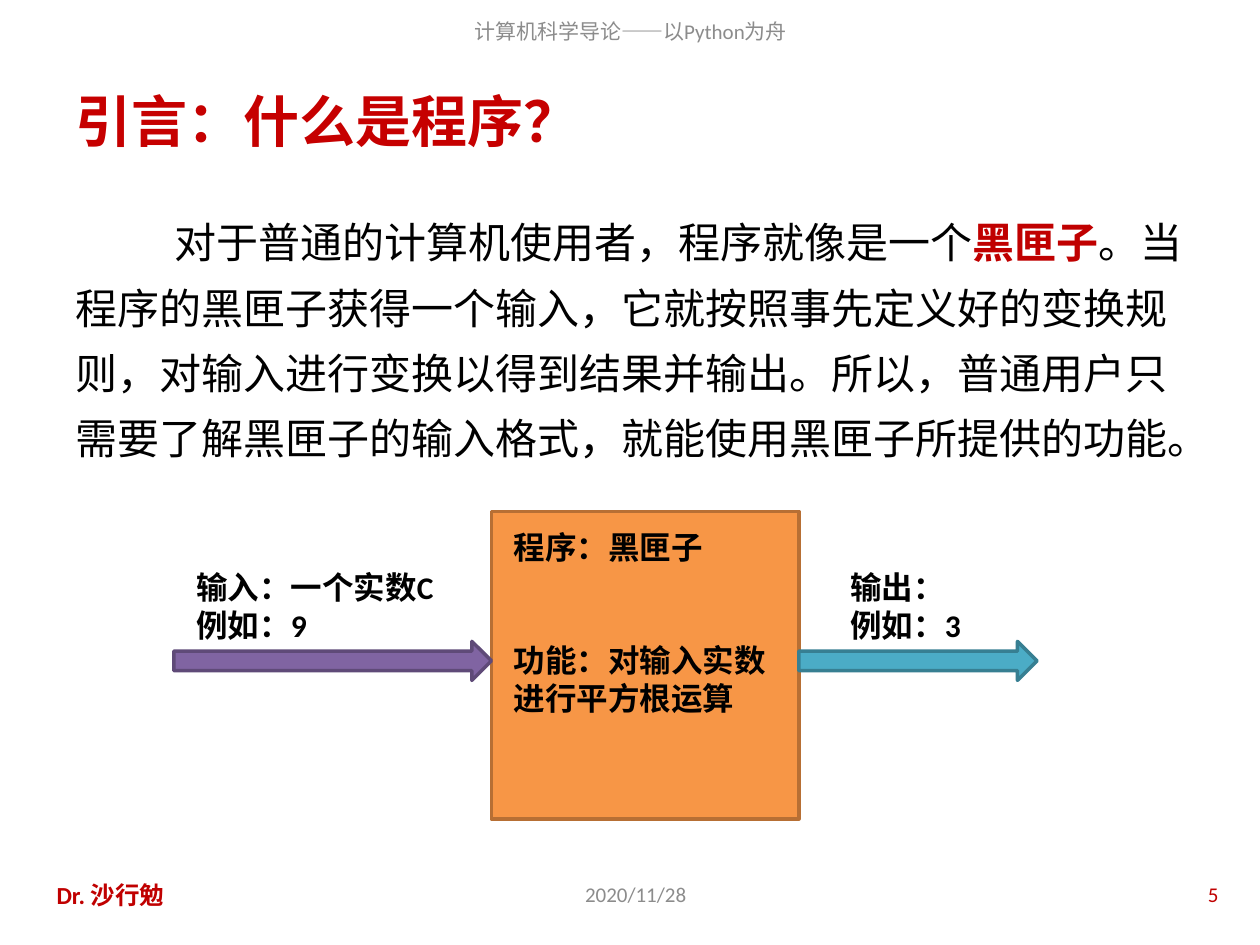
from dataclasses import dataclass

from pptx import Presentation
from pptx.dml.color import RGBColor
from pptx.enum.shapes import MSO_SHAPE
from pptx.enum.text import MSO_ANCHOR, PP_ALIGN
from pptx.util import Inches, Pt


@dataclass(frozen=True)
class Theme:
    """Colours, fonts and type sizes of the slide."""
    black: str = "000000"
    grey: str = "8C8C8C"
    red: str = "C00000"
    title_red: str = "C60000"
    orange: tuple = ("F79646", "B76F34")
    purple: tuple = ("8064A2", "5F4A78")
    teal: tuple = ("4BACC6", "377F92")
    sans: str = "Calibri"
    serif: str = "Times New Roman"
    small: int = 12
    author: int = 14
    label: int = 18
    body: int = 24
    title: int = 32


THEME = Theme()


def add_span(para, text, size, color=THEME.black, bold=False, name=THEME.sans):
    """Append a formatted run to a paragraph."""
    span = para.add_run()
    span.text = text
    formats = {"size": Pt(size), "bold": bold, "name": name}
    for key, value in formats.items():
        setattr(span.font, key, value)
    span.font.color.rgb = RGBColor.from_string(color)


def add_box(page, place, anchor=MSO_ANCHOR.TOP):
    """Add an empty wrapping text box and return its frame."""
    frame = page.shapes.add_textbox(*map(Inches, place)).text_frame
    for key, value in {"word_wrap": True, "vertical_anchor": anchor}.items():
        setattr(frame, key, value)
    return frame


def add_line(page, place, text, size, color, bold=False, align=PP_ALIGN.LEFT):
    """Add a single vertically centred line of text."""
    para = add_box(page, place, MSO_ANCHOR.MIDDLE).paragraphs[0]
    para.alignment = align
    add_span(para, text, size, color, bold)


def add_body(page, place, spans):
    """Add the main paragraph with an indented first line."""
    para = add_box(page, place).paragraphs[0]
    para.line_spacing = 1.3
    properties = para._p.get_or_add_pPr()
    for key, value in {"marL": 0, "indent": Inches(0.79)}.items():
        properties.set(key, str(value))
    for text, color, bold in spans:
        add_span(para, text, THEME.body, color, bold, THEME.serif)


def add_label(page, place, lines, gap=0):
    """Add a bold label, with a gap in points between its lines."""
    frame = add_box(page, place)
    for index, text in enumerate(lines):
        para = frame.add_paragraph() if index else frame.paragraphs[0]
        if index:
            para.space_before = Pt(gap)
        add_span(para, text, THEME.label, bold=True)


def add_block(page, kind, place, colors):
    """Add a filled and outlined preset shape."""
    block = page.shapes.add_shape(kind, *map(Inches, place))
    fill, line = map(RGBColor.from_string, colors)
    block.shadow.inherit = False
    block.fill.solid()
    block.fill.fore_color.rgb = fill
    block.line.color.rgb = line
    block.line.width = Pt(2)


def add_diagram(page):
    """Draw the black box with its input and output arrows."""
    left, side = 3.9, 2.44
    right = left + side
    arrow_top, arrow_height = 5.09, 0.31
    label_top, label_height = 4.46, 0.71
    add_block(page, MSO_SHAPE.RECTANGLE, (left, 4.06, side, side), THEME.orange)
    add_label(page, (3.98, 4.14, 2.28, 1.62),
              ["程序：黑匣子", "功能：对输入实数进行平方根运算"], gap=43)
    arrows = [
        (1.38, left - 1.38, THEME.purple, 1.46, 2.2, ["输入：一个实数C", "例如：9"]),
        (right, 1.89, THEME.teal, 6.65, 1.34, ["输出：", "例如：3"]),
    ]
    for start, length, colors, label_left, label_width, lines in arrows:
        add_block(page, MSO_SHAPE.RIGHT_ARROW,
                  (start, arrow_top, length, arrow_height), colors)
        add_label(page, (label_left, label_top, label_width, label_height), lines)


def main():
    """Build and save the slide."""
    deck = Presentation()
    deck.slide_width, deck.slide_height = Inches(10), Inches(7.5)
    page = deck.slides.add_slide(deck.slide_layouts[6])
    add_line(page, (1.54, 0.05, 6.93, 0.39), "计算机科学导论——以Python为舟",
             THEME.small, THEME.grey, align=PP_ALIGN.CENTER)
    add_line(page, (0.5, 0.6, 9, 0.7), "引言：什么是程序？",
             THEME.title, THEME.title_red, bold=True)
    add_body(page, (0.5, 1.55, 9, 2.36), [
        ("对于普通的计算机使用者，程序就像是一个", THEME.black, False),
        ("黑匣子", THEME.red, True),
        ("。当程序的黑匣子获得一个输入，它就按照事先定义好的变换规则，"
         "对输入进行变换以得到结果并输出。所以，普通用户只需要了解"
         "黑匣子的输入格式，就能使用黑匣子所提供的功能。", THEME.black, False),
    ])
    add_diagram(page)
    footer_top, footer_height = 6.9, 0.4
    footers = [
        (0.35, 2.21, "Dr. 沙行勉", THEME.author, THEME.red, True, PP_ALIGN.LEFT),
        (3.35, 3.39, "2020/11/28", THEME.small, THEME.grey, False, PP_ALIGN.CENTER),
        (7.44, 2.33, "5", THEME.small, THEME.red, False, PP_ALIGN.RIGHT),
    ]
    for left, width, *content in footers:
        add_line(page, (left, footer_top, width, footer_height), *content)
    deck.save("out.pptx")


if __name__ == "__main__":
    main()
